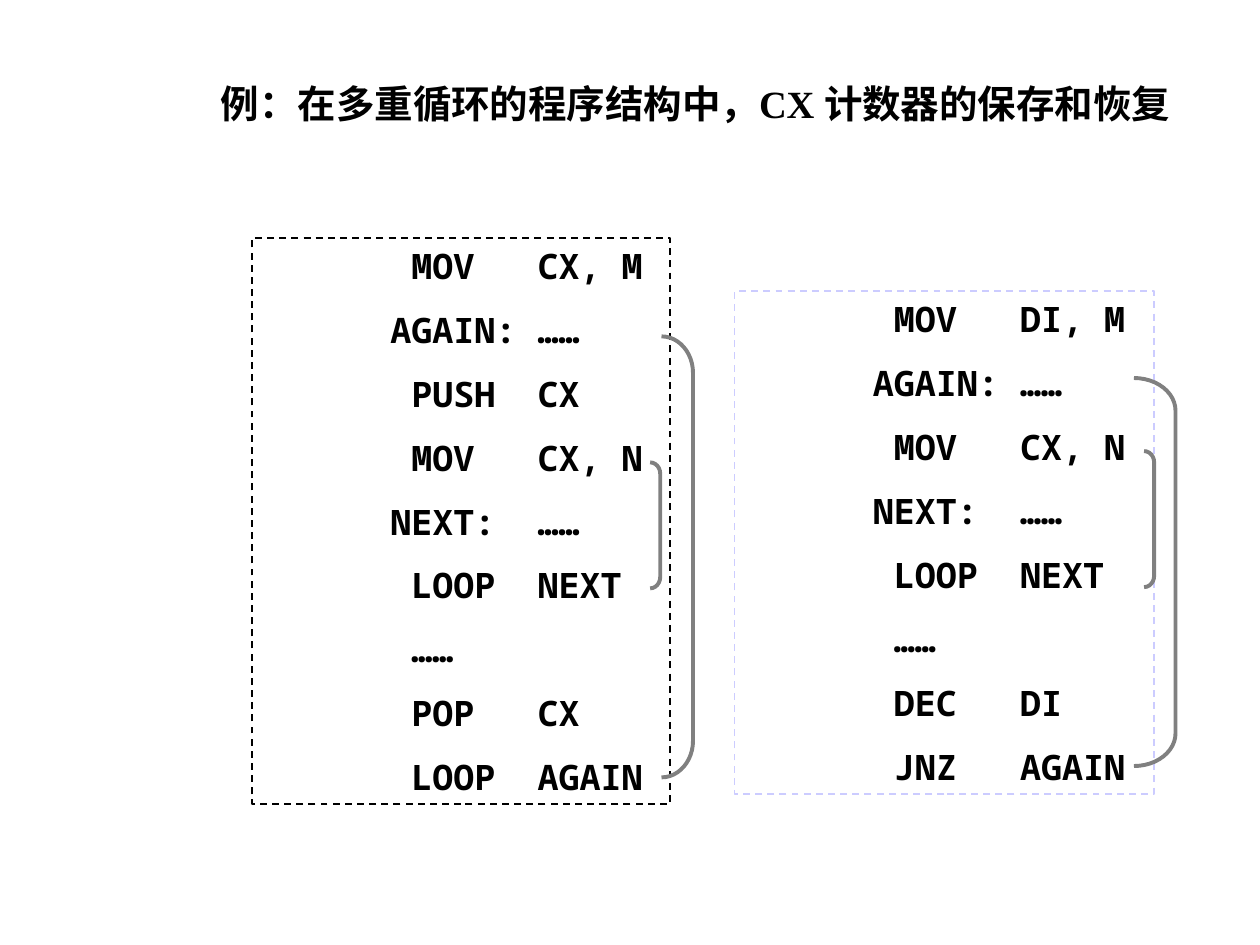
from pptx import Presentation
from pptx.dml.color import RGBColor
from pptx.enum.dml import MSO_LINE
from pptx.enum.shapes import MSO_SHAPE
from pptx.enum.text import MSO_ANCHOR, MSO_AUTO_SIZE, PP_ALIGN
from pptx.util import Inches, Pt

TITLE = "例：在多重循环的程序结构中，CX 计数器的保存和恢复"

# Each listing: box (left, top, width, height), border colour, code lines
LISTINGS = [
    ((2, 1.89, 3.32, 4.49), "000000", [
        " MOV   CX, M",
        "AGAIN: ……",
        " PUSH  CX",
        " MOV   CX, N",
        "NEXT:  ……",
        " LOOP  NEXT",
        " ……",
        " POP   CX",
        " LOOP  AGAIN",
    ]),
    ((5.83, 2.31, 3.33, 3.99), "CCCCFF", [
        " MOV   DI, M",
        "AGAIN: ……",
        " MOV   CX, N",
        "NEXT:  ……",
        " LOOP  NEXT",
        " ……",
        " DEC   DI",
        " JNZ   AGAIN",
    ]),
]

# Loop brackets: (left, top, width, height), corner radius
LOOPS = [
    ((5.16, 3.67, 0.08, 1), 0.09),
    ((5.25, 2.67, 0.25, 3.5), 0.29),
    ((9.08, 3.58, 0.08, 1.08), 0.09),
    ((9, 3, 0.33, 3.08), 0.26),
]


def rgb(color):
    return RGBColor.from_string(color)


def write(sp, lines, font, size, gap=0, indent=0, align=PP_ALIGN.LEFT, wrap=True):
    tf = sp.text_frame
    tf.word_wrap = wrap
    tf.auto_size = MSO_AUTO_SIZE.SHAPE_TO_FIT_TEXT
    tf.vertical_anchor = MSO_ANCHOR.MIDDLE
    for i, line in enumerate(lines):
        p = tf.add_paragraph() if i else tf.paragraphs[0]
        p.alignment = align
        p.space_before = Pt(gap if i else 0)
        pPr = p._p.get_or_add_pPr()
        pPr.set("marL", str(Inches(indent)))
        pPr.set("indent", "0")
        r = p.add_run()
        r.text = line
        r.font.name, r.font.size, r.font.bold = font, Pt(size), True
        r.font.color.rgb = rgb("000000")


def add_outline(slide, kind, box, color, width):
    sp = slide.shapes.add_shape(kind, *map(Inches, box))
    sp.shadow.inherit = False
    sp.fill.background()
    sp.line.color.rgb = rgb(color)
    sp.line.width = Pt(width)
    return sp


prs = Presentation()
prs.slide_width, prs.slide_height = Inches(10), Inches(7.5)
slide = prs.slides.add_slide(prs.slide_layouts[5])

# Title
title = slide.shapes.title
title.left, title.top, title.width, title.height = map(Inches, (1.58, 0.58, 7.88, 0.47))
write(title, [TITLE], "Times New Roman", 22, align=PP_ALIGN.CENTER, wrap=False)

# Code listings
for box, color, lines in LISTINGS:
    sp = add_outline(slide, MSO_SHAPE.RECTANGLE, box, color, 1)
    sp.line.dash_style = MSO_LINE.DASH
    write(sp, lines, "Noto Sans Mono", 20, gap=12.5, indent=1)

# Brackets joining the start and end of each loop
for box, radius in LOOPS:
    sp = add_outline(slide, MSO_SHAPE.RIGHT_BRACKET, box, "808080", 2.25)
    sp.adjustments[0] = radius / box[2]

prs.save("out.pptx")
